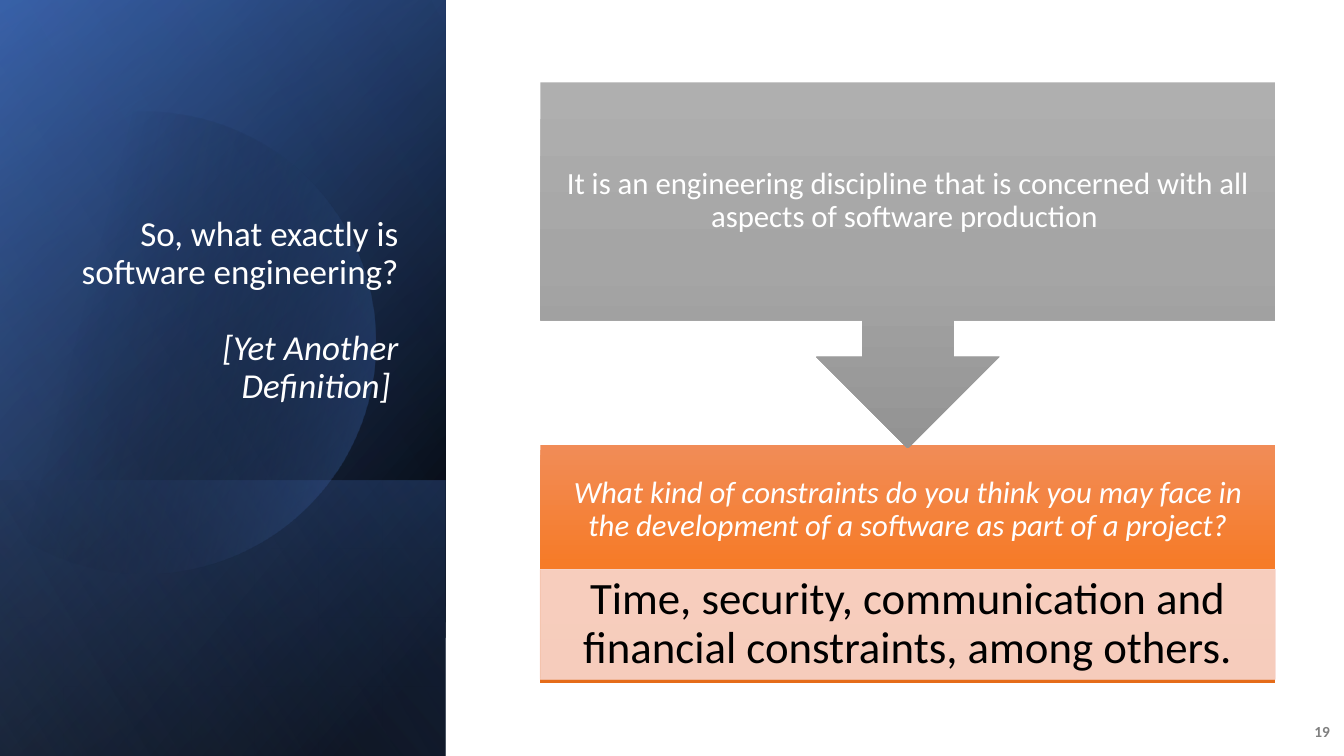
import math
from dataclasses import dataclass
from typing import NamedTuple

import pptx
import pptx.dml.color
import pptx.enum.shapes
import pptx.enum.text
import pptx.oxml
import pptx.oxml.ns
import pptx.util

SHAPES = pptx.enum.shapes.MSO_SHAPE
ALIGN = pptx.enum.text.PP_ALIGN
ANCHOR = pptx.enum.text.MSO_ANCHOR


@dataclass(frozen=True)
class Theme:
    font: str = "Calibri"
    white: str = "FFFFFF"
    black: str = "000000"
    gray: str = "808080"
    navy: str = "2F5597"
    blue: str = "4472C4"
    light_blue: str = "8FAADC"
    peach: str = "F8D7CE"
    # Gradient stops: position, colour, opacity (all in percent)
    gray_band: tuple = ((0, "AFAFAF", 100), (50, "A5A5A5", 100), (100, "939393", 100))
    orange_band: tuple = ((0, "F18C57", 100), (50, "F67B28", 100), (100, "E56C19", 100))
    title_size: float = 25
    body_size: float = 22
    answer_size: float = 32
    number_size: float = 11
    line_spacing: float = 0.9


THEME = Theme()


class Box(NamedTuple):
    """A rectangle in inches."""
    left: float
    top: float
    width: float
    height: float

    def inner(self, x, y, width, height):
        """A smaller box, given as shares of this one."""
        return Box(self.left + x * self.width, self.top + y * self.height,
                   width * self.width, height * self.height)

    def turned(self):
        """The box that covers this one after a quarter turn."""
        shift = (self.width - self.height) / 2
        return Box(self.left + shift, self.top - shift, self.height, self.width)

    def emu(self):
        return [pptx.util.Inches(length) for length in self]


def color(value):
    return pptx.dml.color.RGBColor.from_string(value)


def fill_gradient(shape, stops, angle):
    shape.shadow.inherit = False
    shape.line.fill.background()
    shape.fill.background()
    stop_xml = "".join(
        f'<a:gs pos="{position * 1000}"><a:srgbClr val="{value}">'
        f'<a:alpha val="{opacity * 1000}"/></a:srgbClr></a:gs>'
        for position, value, opacity in stops)
    gradient = pptx.oxml.parse_xml(
        f'<a:gradFill {pptx.oxml.ns.nsdecls("a")} rotWithShape="1">'
        f'<a:gsLst>{stop_xml}</a:gsLst>'
        f'<a:lin ang="{angle * 60000}" scaled="0"/></a:gradFill>')
    properties = shape._element.spPr
    properties.replace(properties.find(pptx.oxml.ns.qn("a:noFill")), gradient)


def write_text(shape, lines, size, value, align=ALIGN.CENTER, anchor=ANCHOR.MIDDLE,
               insets=(0.1, 0.05, 0.1, 0.05), bold=False, gap=0, spacing=THEME.line_spacing):
    """Write (text, italic) lines, one paragraph each, gap points apart."""
    frame = shape.text_frame
    frame.word_wrap = True
    frame.vertical_anchor = anchor
    (frame.margin_left, frame.margin_top,
     frame.margin_right, frame.margin_bottom) = map(pptx.util.Inches, insets)
    for index, (text, italic) in enumerate(lines):
        paragraph = frame.add_paragraph() if index else frame.paragraphs[0]
        paragraph.text = text
        paragraph.alignment = align
        paragraph.line_spacing = spacing
        if index:
            paragraph.space_before = pptx.util.Pt(gap)
        font = paragraph.font
        font.name, font.size = THEME.font, pptx.util.Pt(size)
        font.bold, font.italic = bold, italic
        font.color.rgb = color(value)


def add_panel_layer(slide, box, stops, angle):
    """A rectangle mirrored and turned a quarter, so its gradient turns too."""
    layer = slide.shapes.add_shape(SHAPES.RECTANGLE, *box.turned().emu())
    layer.rotation = 90
    layer._element.spPr.find(pptx.oxml.ns.qn("a:xfrm")).set("flipH", "1")
    fill_gradient(layer, stops, angle)


def add_panel_disc(slide, box):
    """A disc cut by a vertical line just past the panel's left edge."""
    center_x, center_y = box.left + 0.324 * box.width, box.top + 0.453 * box.height
    radius = 0.518 * box.width
    cut = math.acos((-0.034 * box.width - 0.324 * box.width) / radius)
    steps = 120
    points = [(center_x + radius * math.cos(angle), center_y + radius * math.sin(angle))
              for angle in (cut * (2 * step / steps - 1) for step in range(steps + 1))]
    points = [tuple(pptx.util.Inches(length) for length in point) for point in points]
    builder = slide.shapes.build_freeform(*points[0])
    builder.add_line_segments(points[1:], close=True)
    fill_gradient(builder.convert_to_shape(),
                  ((29, THEME.black, 0), (100, THEME.blue, 43)), 14)


def add_title_panel(slide, box):
    # Layered background
    add_panel_layer(slide, box, ((8, THEME.black, 100), (100, THEME.navy, 100)), 50)
    add_panel_layer(slide, box, ((0, THEME.black, 0), (99, THEME.blue, 46)), 30)
    add_panel_layer(slide, box.inner(0, 0.635, 1, 0.365),
                    ((2, THEME.blue, 29), (100, THEME.black, 30)), 130)
    add_panel_disc(slide, box)
    add_panel_layer(slide, box, ((0, THEME.black, 0), (99, THEME.light_blue, 11)), 120)

    # Title
    title = slide.shapes.add_textbox(*box.inner(0.145, 0.245, 0.771, 0.349).emu())
    write_text(title, [("So, what exactly is software engineering?", False),
                       ("[Yet Another Definition] ", True)],
               THEME.title_size, THEME.white, ALIGN.RIGHT, ANCHOR.BOTTOM,
               insets=(0.1, 0.05, 0.1, 0.43), gap=27.5)


def add_definition_flow(slide, box):
    # Question band
    question_box = box.inner(0, 0.604, 1, 0.396)
    question = slide.shapes.add_shape(SHAPES.RECTANGLE, *question_box.emu())
    fill_gradient(question, THEME.orange_band, 90)
    write_text(question, [("What kind of constraints do you think you may face in the "
                           "development of a software as part of a project?", True)],
               THEME.body_size, THEME.white,
               insets=(0.17, 0.17, 0.17, 0.17 + 0.46 * question_box.height))

    # Answer strip
    answer = slide.shapes.add_shape(SHAPES.RECTANGLE,
                                    *question_box.inner(0, 0.521, 1, 0.462).emu())
    answer.shadow.inherit = False
    answer.line.color.rgb = color(THEME.peach)
    answer.line.width = pptx.util.Pt(0.5)
    answer.fill.solid()
    answer.fill.fore_color.rgb = color(THEME.peach)
    for shade in answer._element.spPr.iter(pptx.oxml.ns.qn("a:srgbClr")):
        shade.append(pptx.oxml.parse_xml(
            f'<a:alpha {pptx.oxml.ns.nsdecls("a")} val="90000"/>'))
    write_text(answer, [("Time, security, communication and financial constraints, "
                         "among others.", False)],
               THEME.answer_size, THEME.black, insets=(0.25, 0.04, 0.25, 0.04))

    # Definition with its arrow, on top of the question band
    definition = slide.shapes.add_shape(SHAPES.DOWN_ARROW_CALLOUT,
                                        *box.inner(0, 0, 1, 0.609).emu())
    for index, share in enumerate((0.25, 0.25, 0.25, 0.65)):
        definition.adjustments[index] = share
    fill_gradient(definition, THEME.gray_band, 90)
    write_text(definition, [("It is an engineering discipline that is concerned with all "
                             "aspects of software production ", False)],
               THEME.body_size, THEME.white, insets=(0.17,) * 4)


def add_slide_number(slide, box):
    number = slide.shapes.add_textbox(*box.emu())
    write_text(number, [("19", False)], THEME.number_size, THEME.gray,
               ALIGN.RIGHT, bold=True, spacing=1.0)


def main():
    presentation = pptx.Presentation()
    page = Box(0, 0, 13.33, 7.5)
    presentation.slide_width, presentation.slide_height = page.emu()[2:]
    slide = presentation.slides.add_slide(presentation.slide_layouts[6])

    add_title_panel(slide, page.inner(0, 0, 0.3316, 1))
    add_definition_flow(slide, page.inner(0.402, 0.109, 0.547, 0.795))
    add_slide_number(slide, page.inner(0.96, 0.941, 0.037, 0.053))
    presentation.save("out.pptx")


if __name__ == "__main__":
    main()
